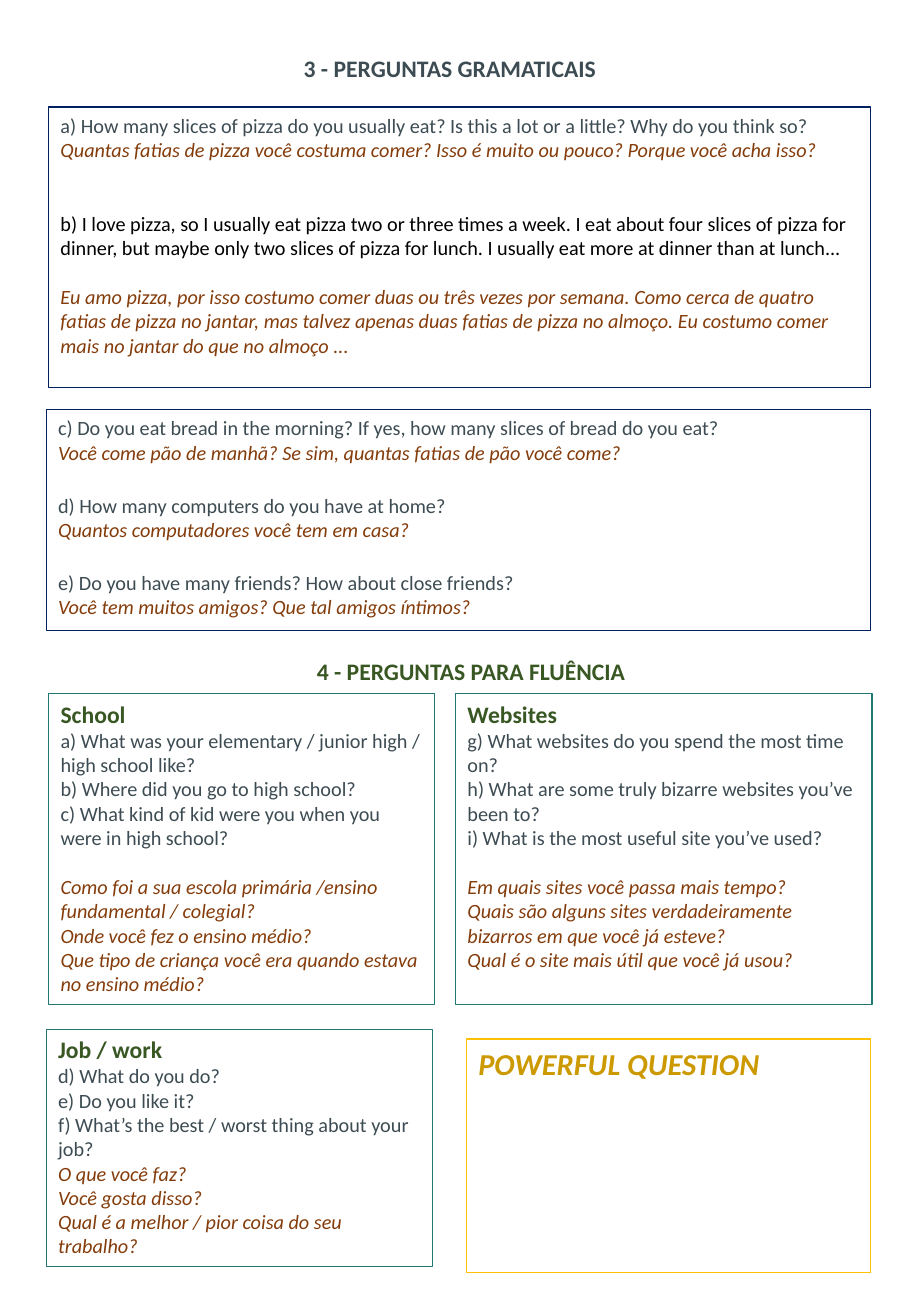
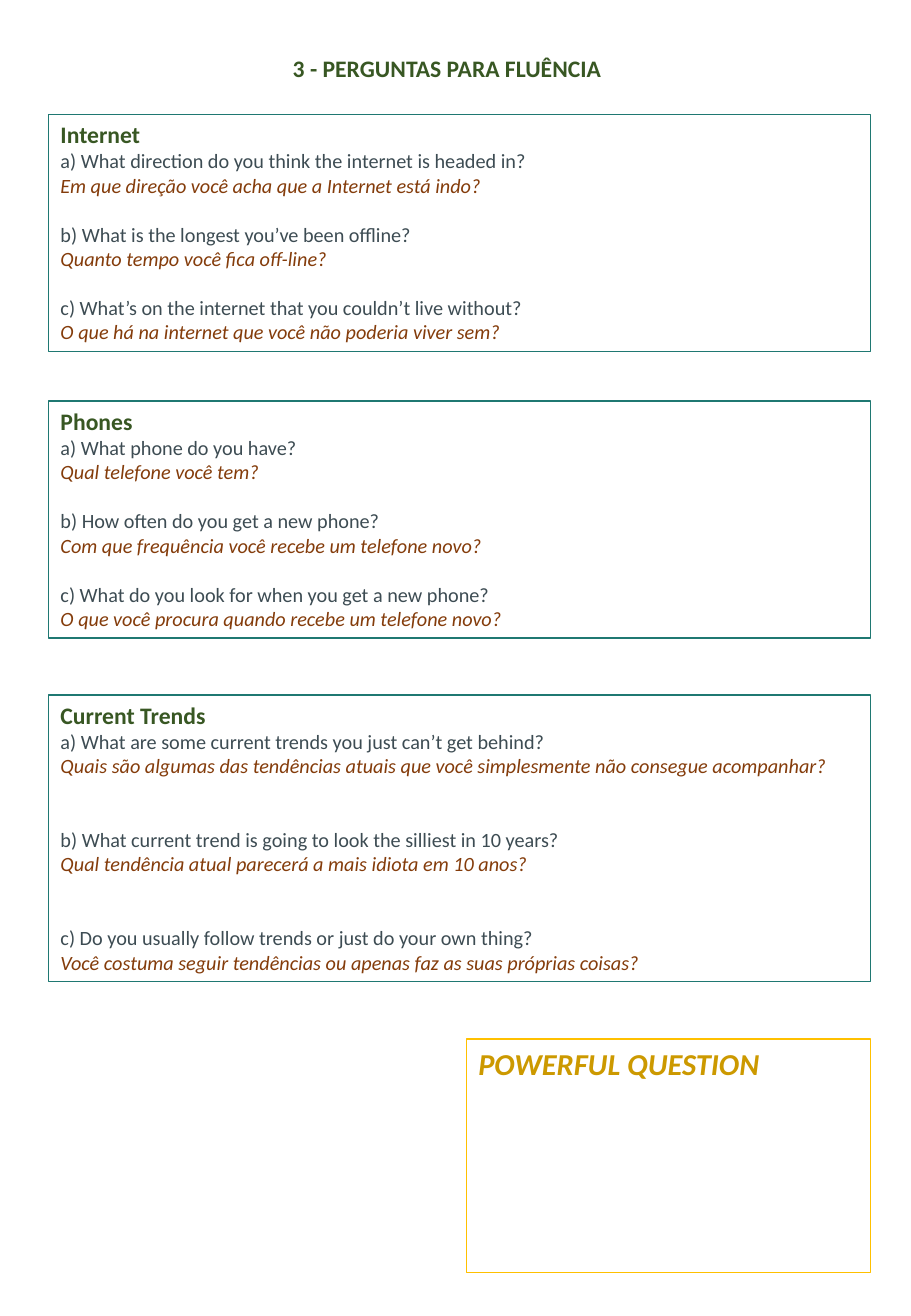
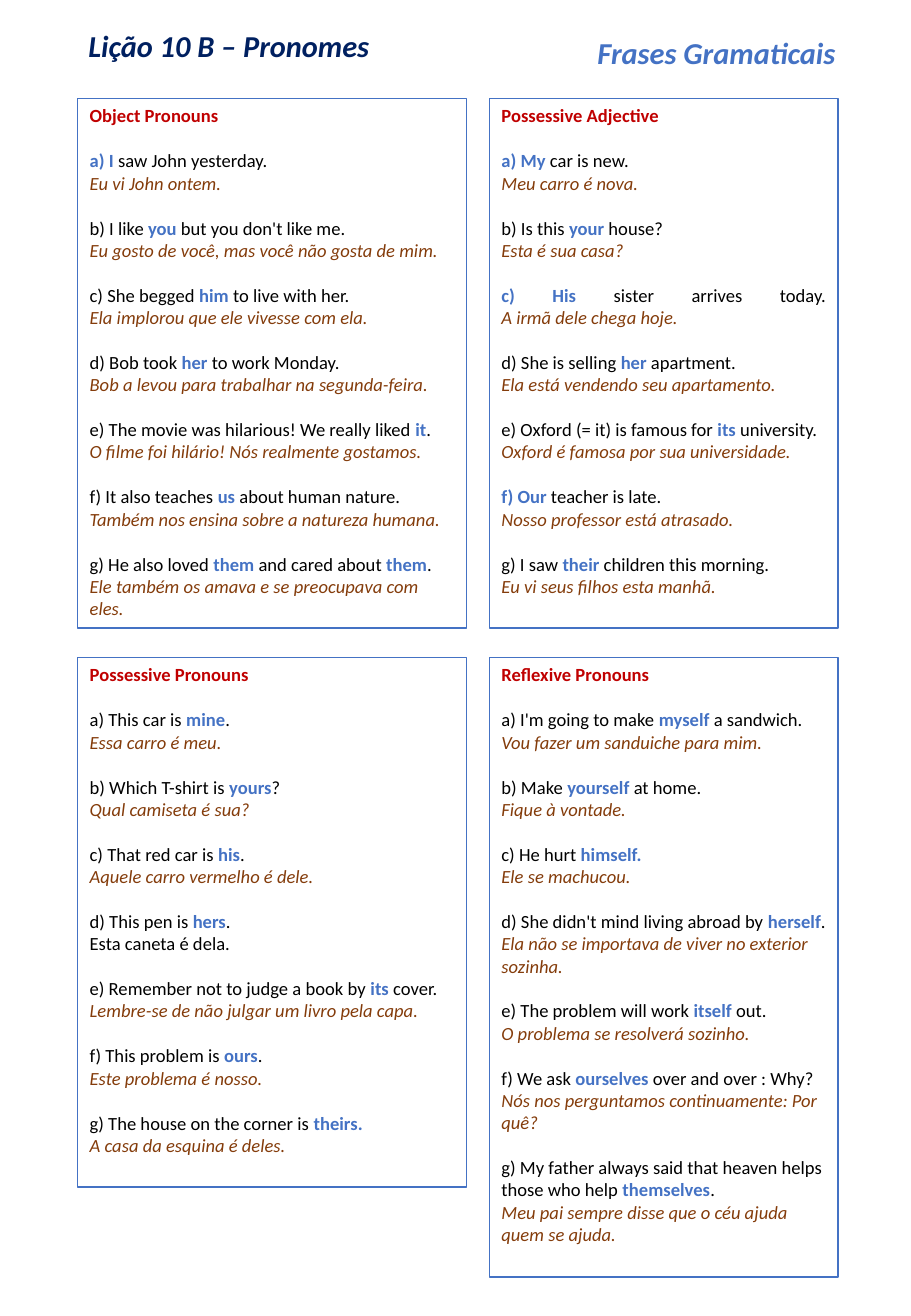
from dataclasses import dataclass, replace

from pptx import Presentation
from pptx.dml.color import RGBColor
from pptx.enum.shapes import MSO_SHAPE as Shape
from pptx.enum.text import MSO_ANCHOR as Anchor, MSO_AUTO_SIZE as AutoSize, PP_ALIGN as Align
from pptx.util import Inches, Pt


@dataclass(frozen=True)
class Style:
    """Character format of a text."""
    size: float
    color: str
    bold: bool = False
    italic: bool = False


@dataclass(frozen=True)
class Theme:
    """Colours, type sizes and measures shared by the slides."""
    font: str = "Calibri"
    navy: str = "002060"
    teal: str = "1F7872"
    gold: str = "FFC000"
    blue: str = "4472C4"
    slate: str = "3D4C53"
    line_width: float = 0.75
    line_height: float = 1.22
    cell: float = 0.1
    topic: Style = Style(14, "385723", bold=True)
    question: Style = Style(12, "3D4C53")
    answer: Style = Style(12, "000000")
    translation: Style = Style(12, "843C0B", italic=True)
    pronoun: Style = Style(11, "C00000", bold=True)
    example: Style = Style(11, "000000")
    example_translation: Style = Style(11, "843C0B", italic=True)
    banner: Style = Style(18, "002060", bold=True, italic=True)
    powerful: Style = Style(18, "CC9900", bold=True, italic=True)


T = Theme()


@dataclass(frozen=True)
class Box:
    """Area measured in grid cells."""
    x: float
    y: float
    w: float
    h: float

    def inner(self, x, y, w, h):
        """Return an area placed relative to this one."""
        return Box(self.x + x, self.y + y, w, h)

    def lengths(self):
        """Return left, top, width and height as slide lengths."""
        return [Inches(n * T.cell) for n in (self.x, self.y, self.w, self.h)]


@dataclass(frozen=True)
class Para:
    """Paragraph with the number of lines left free above it."""
    text: str
    style: Style
    gap: float = 0
    align: Align = Align.LEFT


def add_run(p, text, style):
    """Append one formatted run to a paragraph."""
    r = p.add_run()
    r.text = text
    r.font.name, r.font.size = T.font, Pt(style.size)
    r.font.bold, r.font.italic = style.bold, style.italic
    r.font.color.rgb = RGBColor.from_string(style.color)


def write(tf, paras, wrap=True):
    """Write paragraphs, with *marked* words in bold blue and a translation after a line break."""
    tf.word_wrap, tf.auto_size, tf.vertical_anchor = wrap, AutoSize.NONE, Anchor.TOP
    for i, para in enumerate(paras):
        p = tf.paragraphs[0] if i == 0 else tf.add_paragraph()
        p.alignment = para.align
        p.space_before = Pt(round(para.gap * para.style.size * T.line_height, 1))
        main_text, _, below = para.text.partition("\n")
        marked = replace(para.style, color=T.blue, bold=True)
        for k, piece in enumerate(main_text.split("*")):
            if piece:
                add_run(p, piece, marked if k % 2 else para.style)
        if below:
            p.add_line_break()
            add_run(p, below, T.example_translation)


def title(s, box, text, style, align=Align.LEFT):
    """Move and fill the title placeholder."""
    sp = s.shapes.title
    sp.left, sp.top, sp.width, sp.height = box.lengths()
    write(sp.text_frame, [Para(text, style, align=align)], wrap=False)


def heading(s, box, text, style, wrap=False):
    """Add a heading in a text box."""
    sp = s.shapes.add_textbox(*box.lengths())
    write(sp.text_frame, [Para(text, style)], wrap)


def card(s, box, line, paras):
    """Add an outlined card with text."""
    sp = s.shapes.add_shape(Shape.RECTANGLE, *box.lengths())
    sp.shadow.inherit = False
    sp.fill.background()
    sp.line.color.rgb = RGBColor.from_string(line)
    sp.line.width = Pt(T.line_width)
    write(sp.text_frame, paras)


def pairs(items, source, target, gap=1.0, first_gap=0.0):
    """Return each sentence followed by its translation."""
    paras = []
    for i, (text, *below) in enumerate(items):
        align = Align.JUSTIFY if "\n" in text else Align.LEFT
        paras.append(Para(text, source, gap if i else first_gap, align))
        paras += [Para(line, target) for line in below]
    return paras


def topic_list(name, questions, translations, gap):
    """Return a topic, its questions and then all their translations."""
    return ([Para(name, T.topic)] + [Para(q, T.question) for q in questions]
            + [Para(t, T.translation, 0 if i else gap) for i, t in enumerate(translations)])


def powerful_card(s, box):
    """Add the empty card for the powerful question."""
    card(s, box, T.gold, [Para("POWERFUL QUESTION", T.powerful)])


def grammar_region(s, box):
    """Place the two cards of grammar questions."""
    card(s, box.inner(0.2, 0, 67.7, 23.1), T.navy, [
        Para("a) How many slices of pizza do you usually eat? Is this a lot or a little? "
             "Why do you think so?", T.question),
        Para("Quantas fatias de pizza você costuma comer? Isso é muito ou pouco? "
             "Porque você acha isso?", T.translation),
        Para("b) I love pizza, so I usually eat pizza two or three times a week. I eat about four "
             "slices of pizza for dinner, but maybe only two slices of pizza for lunch. "
             "I usually eat more at dinner than at lunch...", T.answer, 2),
        Para("Eu amo pizza, por isso costumo comer duas ou três vezes por semana. Como cerca de "
             "quatro fatias de pizza no jantar, mas talvez apenas duas fatias de pizza no almoço. "
             "Eu costumo comer mais no jantar do que no almoço ...", T.translation, 1),
    ])
    card(s, box.inner(0, 24.9, 67.9, 18.2), T.navy, pairs([
        ("c) Do you eat bread in the morning? If yes, how many slices of bread do you eat?",
         "Você come pão de manhã? Se sim, quantas fatias de pão você come?"),
        ("d) How many computers do you have at home?", "Quantos computadores você tem em casa?"),
        ("e) Do you have many friends? How about close friends?",
         "Você tem muitos amigos? Que tal amigos íntimos?"),
    ], T.question, T.translation, gap=1.17))


def fluency_region(s, box):
    """Place the heading and the cards of fluency questions."""
    heading(s, box.inner(21.3, 0, 27.6, 3.4), "4 - PERGUNTAS PARA FLUÊNCIA", T.topic)
    card(s, box.inner(0.2, 3.5, 31.8, 25.6), T.teal, topic_list("School", [
        "a) What was your elementary / junior high / high school like?",
        "b) Where did you go to high school?",
        "c) What kind of kid were you when you were in high school?",
    ], [
        "Como foi a sua escola primária /ensino fundamental / colegial?",
        "Onde você fez o ensino médio?",
        "Que tipo de criança você era quando estava no ensino médio?",
    ], gap=1))
    card(s, box.inner(33.7, 3.5, 34.3, 25.6), T.teal, topic_list("Websites", [
        "g) What websites do you spend the most time on?",
        "h) What are some truly bizarre websites you’ve been to?",
        "i) What is the most useful site you’ve used?",
    ], [
        "Em quais sites você passa mais tempo?",
        "Quais são alguns sites verdadeiramente bizarros em que você já esteve?",
        "Qual é o site mais útil que você já usou?",
    ], gap=1))
    card(s, box.inner(0, 31.1, 31.8, 19.5), T.teal, topic_list("Job / work", [
        "d) What do you do?",
        "e) Do you like it?",
        "f) What’s the best / worst thing about your job?",
    ], [
        "O que você faz?",
        "Você gosta disso?",
        "Qual é a melhor / pior coisa do seu trabalho?",
    ], gap=0))


def topics_region(s, box):
    """Place the full-width topic cards one below the other."""
    topics = [
        ("Internet", 0, 19.5, 1, [
            ("a) What direction do you think the internet is headed in?",
             "Em que direção você acha que a Internet está indo?"),
            ("b) What is the longest you’ve been offline?", "Quanto tempo você fica off-line?"),
            ("c) What’s on the internet that you couldn’t live without?",
             "O que há na internet que você não poderia viver sem?"),
        ]),
        ("Phones", 23.6, 19.5, 1, [
            ("a) What phone do you have?", "Qual telefone você tem?"),
            ("b) How often do you get a new phone?",
             "Com que frequência você recebe um telefone novo?"),
            ("c) What do you look for when you get a new phone?",
             "O que você procura quando recebe um telefone novo?"),
        ]),
        ("Current Trends", 47.8, 23.6, 2, [
            ("a) What are some current trends you just can’t get behind?",
             "Quais são algumas das tendências atuais que você simplesmente não consegue "
             "acompanhar?"),
            ("b) What current trend is going to look the silliest in 10 years?",
             "Qual tendência atual parecerá a mais idiota em 10 anos?"),
            ("c) Do you usually follow trends or just do your own thing?",
             "Você costuma seguir tendências ou apenas faz as suas próprias coisas?"),
        ]),
    ]
    for name, top, height, gap, items in topics:
        paras = [Para(name, T.topic)] + pairs(items, T.question, T.translation, gap)
        card(s, box.inner(0, top, box.w, height), T.teal, paras)


def pronouns_region(s, box):
    """Place the four pronoun cards in two columns and two rows."""
    columns, rows = [(0, 32), (33.9, 28.7)], [0, 46]
    pronouns = [
        ("Object Pronouns", 43.6, [
            ("*a) I *saw John yesterday.", "Eu vi John ontem."),
            ("b) I like *you* but you don't like me.",
             "Eu gosto de você, mas você não gosta de mim."),
            ("c) She begged *him *to live with her.", "Ela implorou que ele vivesse com ela."),
            ("d) Bob took *her* to work Monday.", "Bob a levou para trabalhar na segunda-feira."),
            ("e) The movie was hilarious! We really liked *it*.",
             "O filme foi hilário! Nós realmente gostamos."),
            ("f) It also teaches *us* about human nature.",
             "Também nos ensina sobre a natureza humana."),
            ("g) He also loved *them* and cared about *them*.",
             "Ele também os amava e se preocupava com eles."),
        ]),
        ("Possessive Adjective", 43.6, [
            ("*a) My* car is new.", "Meu carro é nova."),
            ("b) Is this *your* house?", "Esta é sua casa?"),
            ("*c) His *sister arrives today.\nA irmã dele chega hoje.",),
            ("d) She is selling *her* apartment.", "Ela está vendendo seu apartamento."),
            ("e) Oxford (= it) is famous for *its *university.",
             "Oxford é famosa por sua universidade."),
            ("*f) Our* teacher is late.", "Nosso professor está atrasado."),
            ("g) I saw *their* children this morning.", "Eu vi seus filhos esta manhã."),
        ]),
        ("Possessive Pronouns", 43.6, [
            ("a) This car is *mine*.", "Essa carro é meu."),
            ("b) Which T-shirt is *yours*?", "Qual camiseta é sua?"),
            ("c) That red car is *his*.", "Aquele carro vermelho é dele."),
            ("d) This pen is *hers*.", "Esta caneta é dela."),
            ("e) Remember not to judge a book by *its* cover.",
             "Lembre-se de não julgar um livro pela capa."),
            ("f) This problem is *ours*.", "Este problema é nosso."),
            ("g) The house on the corner is *theirs.*", "A casa da esquina é deles."),
        ]),
        ("Reflexive Pronouns", 51, [
            ("a) I'm going to make *myself* a sandwich.", "Vou fazer um sanduiche para mim."),
            ("b) Make *yourself* at home.", "Fique à vontade."),
            ("c) He hurt *himself.*", "Ele se machucou."),
            ("d) She didn't mind living abroad by *herself*.",
             "Ela não se importava de viver no exterior sozinha."),
            ("e) The problem will work *itself* out.", "O problema se resolverá sozinho."),
            ("f) We ask *ourselves* over and over : Why?",
             "Nós nos perguntamos continuamente: Por quê?"),
            ("g) My father always said that heaven helps those who help *themselves*.",
             "Meu pai sempre disse que o céu ajuda quem se ajuda."),
        ]),
    ]
    for i, (name, height, items) in enumerate(pronouns):
        row, column = divmod(i, 2)
        left, width = columns[column]
        paras = [Para(name, T.pronoun)]
        paras += pairs(items, T.example, T.example_translation, first_gap=1)
        paras = [replace(p, style=T.example) if p.text == "Esta caneta é dela." else p
                 for p in paras]
        card(s, box.inner(left, rows[row], width, height), T.blue, paras)


def main():
    """Build the three slides and save them."""
    prs = Presentation()
    prs.slide_width, prs.slide_height = Inches(7.5), Inches(10.83)
    questions, topics, pronouns = [prs.slides.add_slide(prs.slide_layouts[5]) for _ in range(3)]
    powerful_box = Box(38.4, 85.5, 33.3, 19.2)

    title(questions, Box(24, 3.9, 26.3, 3.4), "3 - PERGUNTAS GRAMATICAIS",
          replace(T.topic, color=T.slate))
    grammar_region(questions, Box(3.8, 8.8, 67.9, 43.1))
    fluency_region(questions, Box(3.8, 53.6, 68, 50.6))
    powerful_card(questions, powerful_box)

    title(topics, Box(23.1, 3.9, 27.6, 3.4), "3 - PERGUNTAS PARA FLUÊNCIA", T.topic)
    topics_region(topics, Box(4, 9.4, 67.7, 71.4))
    powerful_card(topics, powerful_box)

    title(pronouns, Box(6.1, 1.7, 25.5, 4), "Lição 10 B – Pronomes", T.banner, Align.CENTER)
    heading(pronouns, Box(48.2, 2.3, 26, 4), "Frases Gramaticais",
            replace(T.banner, color=T.blue), wrap=True)
    pronouns_region(pronouns, Box(6.4, 8.1, 62.6, 97))
    prs.save("out.pptx")


if __name__ == "__main__":
    main()
